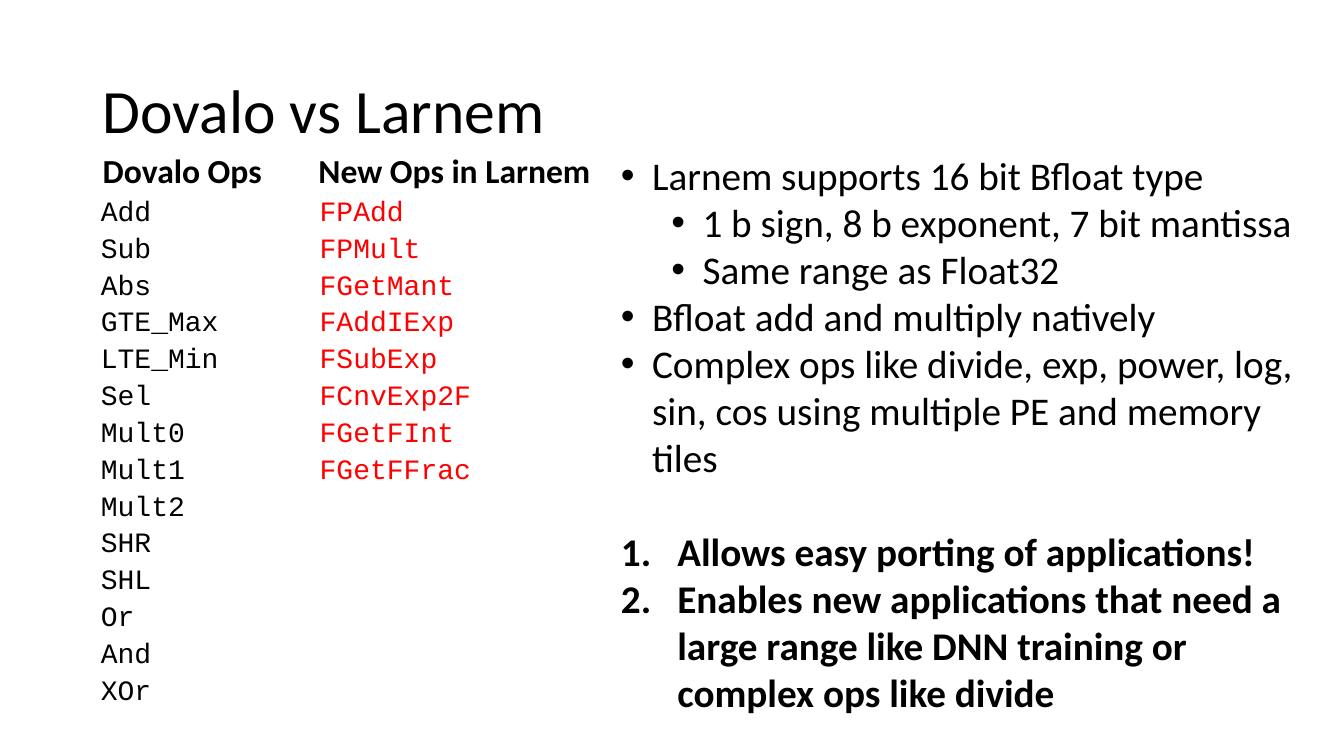
from dataclasses import dataclass

from lxml import etree
from pptx import Presentation
from pptx import util as u
from pptx.dml.color import RGBColor
from pptx.enum import text as t
from pptx.oxml import ns


@dataclass(frozen=True)
class Theme:
    sans: str = "Calibri"
    mono: str = "Courier New"
    black: str = "000000"
    red: str = "FF0000"
    title: int = 44
    head: int = 24
    code: int = 20
    body: int = 28


THEME = Theme()
ROW = 5.12 / 14  # height of one op row
NO_STYLE = "{2D5ABB26-0587-4C30-8999-92F81FD0307C}"

OLD_OPS = ["Add", "Sub", "Abs", "GTE_Max", "LTE_Min", "Sel", "Mult0",
           "Mult1", "Mult2", "SHR", "SHL", "Or", "And", "XOr"]
NEW_OPS = ["FPAdd", "FPMult", "FGetMant", "FAddIExp", "FSubExp",
           "FCnvExp2F", "FGetFInt", "FGetFFrac"]
# Level and text
FACTS = [
    (0, "Larnem supports 16 bit Bfloat type"),
    (1, "1 b sign, 8 b exponent, 7 bit mantissa"),
    (1, "Same range as Float32"),
    (0, "Bfloat add and multiply natively"),
    (0, "Complex ops like divide, exp, power, log, sin, cos using "
        "multiple PE and memory tiles"),
]
GAINS = [
    "Allows easy porting of applications!",
    "Enables new applications that need a large range like DNN training "
    "or complex ops like divide",
]


def style(para, face, size, color=THEME.black, bold=False):
    font = para.font
    font.name, font.size, font.bold = face, u.Pt(size), bold
    font.color.rgb = RGBColor.from_string(color)


def add_box(slide, box, anchor):
    frame = slide.shapes.add_textbox(*map(u.Inches, box)).text_frame
    frame.word_wrap = True
    frame.vertical_anchor = anchor
    return frame


def add_line(slide, box, anchor, words, size, bold=False):
    para = add_box(slide, box, anchor).paragraphs[0]
    para.text = words
    para.line_spacing = 0.9
    style(para, THEME.sans, size, bold=bold)


def add_ops(slide, box, ops, color):
    """One column of op names, a row each."""
    left, top, width = box
    table = slide.shapes.add_table(
        len(ops), 1, u.Inches(left), u.Inches(top),
        u.Inches(width), u.Inches(ROW * len(ops))).table
    table.first_row = table.horz_banding = False
    table._tbl.tblPr.find(ns.qn("a:tableStyleId")).text = NO_STYLE
    for row, name in zip(table.rows, ops):
        cell = row.cells[0]
        cell.fill.background()
        cell.margin_left = cell.margin_right = u.Inches(0.08)
        cell.margin_top = cell.margin_bottom = u.Inches(0.01)
        cell.vertical_anchor = t.MSO_ANCHOR.MIDDLE
        para = cell.text_frame.paragraphs[0]
        para.text = name
        style(para, THEME.mono, THEME.code, color)


def add_mark(para, left, hang, tag, **attrs):
    """Hanging indent with a bullet or a number."""
    props = para._p.get_or_add_pPr()
    props.set("marL", str(u.Inches(left)))
    props.set("indent", str(-u.Inches(hang)))
    face = etree.SubElement(props, ns.qn("a:buFont"))
    face.set("typeface", "Arial" if tag == "a:buChar" else "+mj-lt")
    mark = etree.SubElement(props, ns.qn(tag))
    for key, value in attrs.items():
        mark.set(key, value)
    # The schema wants the default font after the bullet
    font = props.find(ns.qn("a:defRPr"))
    if font is not None:
        props.append(font)


def add_notes(slide, box):
    """Bulleted facts, then numbered gains."""
    frame = add_box(slide, box, t.MSO_ANCHOR.TOP)
    para = frame.paragraphs[0]
    for i, (level, words) in enumerate(FACTS):
        para = frame.add_paragraph() if i else para
        para.text, para.level = words, level
        style(para, THEME.sans, THEME.body)
        add_mark(para, 0.31 + 0.5 * level, 0.31, "a:buChar", char="•")
    for i, words in enumerate(GAINS):
        para = frame.add_paragraph()
        para.text = words
        para.space_before = u.Pt(0 if i else 33.5)
        style(para, THEME.sans, THEME.body, bold=True)
        add_mark(para, 0.56, 0.56, "a:buAutoNum", type="arabicPeriod")


def add_compare(slide):
    add_line(slide, (0.92, 0.4, 11.5, 1.45), t.MSO_ANCHOR.MIDDLE,
             "Dovalo vs Larnem", THEME.title)
    # Heading and ops of each design
    for head, left, inset, ops, color in (
            ("Dovalo Ops", 0.92, 0, OLD_OPS, THEME.black),
            ("New Ops in Larnem", 3.06, 0.03, NEW_OPS, THEME.red)):
        add_line(slide, (left, 1.04, 5.65, 0.9), t.MSO_ANCHOR.BOTTOM,
                 head, THEME.head, bold=True)
        add_ops(slide, (left + inset, 1.94, 4.92), ops, color)
    add_notes(slide, (6.06, 1.45, 7.01, 5.76))


def main():
    deck = Presentation()
    deck.slide_width, deck.slide_height = u.Inches(13.33), u.Inches(7.5)
    add_compare(deck.slides.add_slide(deck.slide_layouts[6]))
    deck.save("out.pptx")


if __name__ == "__main__":
    main()
